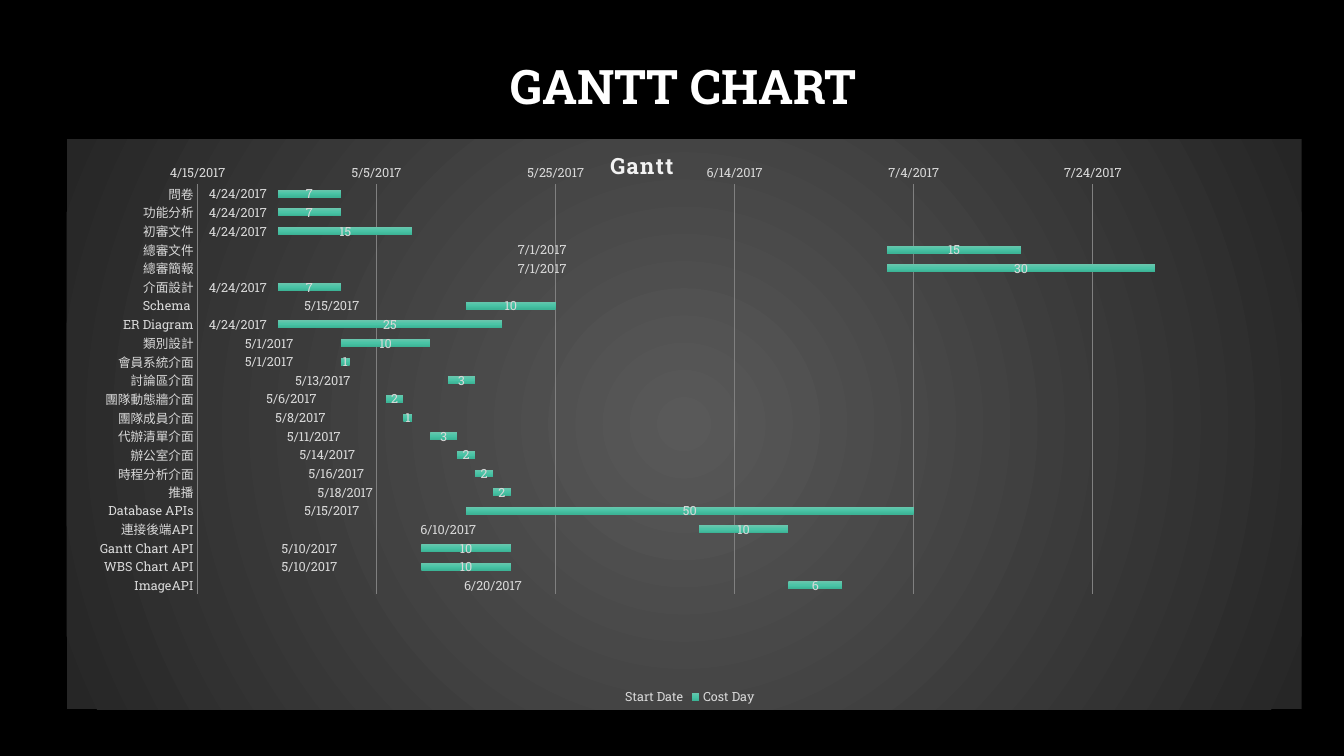
from dataclasses import dataclass

from lxml import etree
from pptx import Presentation
from pptx.chart import data as chart_data
from pptx.dml.color import RGBColor
from pptx.enum import chart as charts, text
from pptx.oxml import ns, parse_xml
from pptx.util import Cm, Pt


@dataclass(frozen=True)
class Theme:
    """Colours and type sizes of the slide."""
    font: str = "Roboto Slab"
    background: str = "000000"
    heading: str = "FFFFFF"
    chart_title: str = "F2F2F2"
    label: str = "D9D9D9"
    grid: str = "808080"
    panel: tuple = ((0, "595959"), (100, "262626"))
    bar: tuple = ((0, "69C6AD"), (50, "4AC4A6"), (100, "3CB496"))
    heading_size: int = 34
    chart_title_size: int = 16
    chart_size: int = 10
    label_size: int = 9


THEME = Theme()
DATE_FORMAT = "m/d/yyyy"
FIRST_DAY, LAST_DAY, DAYS_PER_TICK = 42840, 42952, 20
TASKS = [
    ("問卷", 42849, 7),
    ("功能分析", 42849, 7),
    ("初審文件", 42849, 15),
    ("總審文件", 42917, 15),
    ("總審簡報", 42917, 30),
    ("介面設計", 42849, 7),
    ("Schema ", 42870, 10),
    ("ER Diagram", 42849, 25),
    ("類別設計", 42856, 10),
    ("會員系統介面", 42856, 1),
    ("討論區介面", 42868, 3),
    ("團隊動態牆介面", 42861, 2),
    ("團隊成員介面", 42863, 1),
    ("代辦清單介面", 42866, 3),
    ("辦公室介面", 42869, 2),
    ("時程分析介面", 42871, 2),
    ("推播", 42873, 2),
    ("Database APIs", 42870, 50),
    ("連接後端API", 42896, 10),
    ("Gantt Chart API", 42865, 10),
    ("WBS Chart API", 42865, 10),
    ("ImageAPI", 42906, 6),
]


def style_font(font, size, color, bold=False):
    """Set the typeface, size, colour and weight of a font."""
    font.name, font.size, font.bold = THEME.font, Pt(size), bold
    font.color.rgb = RGBColor.from_string(color)


def write_text(frame, content, size, color, bold=True, spacing=None, tracking=None):
    """Write one centred paragraph into a text frame."""
    paragraph = frame.paragraphs[0]
    paragraph.alignment = text.PP_ALIGN.CENTER
    paragraph.line_spacing = spacing
    run = paragraph.add_run()
    run.text = content
    style_font(run.font, size, color, bold)
    if tracking:
        run._r.get_or_add_rPr().set("spc", str(tracking))


def gradient_properties(stops, direction):
    """Return borderless chart shape properties with a gradient fill."""
    marks = "".join(
        f'<a:gs pos="{position * 1000}"><a:srgbClr val="{color}"/></a:gs>'
        for position, color in stops)
    return parse_xml(
        f'<c:spPr {ns.nsdecls("c", "a")}><a:gradFill><a:gsLst>{marks}</a:gsLst>'
        f'{direction}</a:gradFill><a:ln><a:noFill/></a:ln></c:spPr>')


def set_layout(parent, target=None, **percentages):
    """Place a chart part by percentages of the chart area."""
    layout = parent.find(ns.qn("c:layout"))
    if layout is None:
        layout = etree.Element(ns.qn("c:layout"))
        parent.insert(0, layout)
    manual = etree.SubElement(layout, ns.qn("c:manualLayout"))
    settings = {"layoutTarget": target} if target else {}
    settings.update(xMode="edge", yMode="edge")
    settings.update((name, f"{value / 100:.4f}") for name, value in percentages.items())
    for name, value in settings.items():
        etree.SubElement(manual, ns.qn(f"c:{name}")).set("val", value)


def add_heading(slide, left, top, width, height):
    """Add the slide heading in the given box."""
    frame = slide.shapes.add_textbox(left, top, width, height).text_frame
    frame.word_wrap = True
    frame.vertical_anchor = text.MSO_ANCHOR.MIDDLE
    write_text(frame, "GANTT CHART", THEME.heading_size, THEME.heading, spacing=0.9)


def style_axes(chart):
    """Format the task axis and the date axis."""
    tasks, dates = chart.category_axis, chart.value_axis
    for axis in (tasks, dates):
        axis.major_tick_mark = axis.minor_tick_mark = charts.XL_TICK_MARK.NONE
        axis.format.line.fill.background()
        style_font(axis.tick_labels.font, THEME.label_size, THEME.label)
    tasks.reverse_order = True
    tasks.has_major_gridlines = False
    dates.minimum_scale, dates.maximum_scale = FIRST_DAY, LAST_DAY
    dates.major_unit = DAYS_PER_TICK
    dates.tick_labels.number_format = DATE_FORMAT
    dates.tick_labels.number_format_is_linked = False
    dates.has_major_gridlines = True
    grid = dates.major_gridlines.format.line
    grid.width = Pt(0.75)
    grid.color.rgb = RGBColor.from_string(THEME.grid)


def style_series(chart):
    """Hide the start bars, colour the duration bars and label both."""
    plot = chart.plots[0]
    plot.gap_width, plot.overlap = 150, 100
    plot.vary_by_categories = False
    start, cost = plot.series
    start.format.fill.background()
    start.format.line.fill.background()
    properties = cost._element.get_or_add_spPr()
    properties.getparent().replace(properties, gradient_properties(
        THEME.bar, '<a:lin ang="5400000" scaled="0"/>'))
    for series, number_format in ((start, DATE_FORMAT), (cost, "General")):
        labels = series.data_labels
        labels.show_value = True
        labels.number_format = number_format
        labels.number_format_is_linked = False
        labels.position = charts.XL_LABEL_POSITION.CENTER
        style_font(labels.font, THEME.label_size, THEME.label)


def add_gantt(slide, left, top, width, height):
    """Add the Gantt chart in the given box."""
    names, starts, costs = zip(*TASKS)
    data = chart_data.CategoryChartData()
    data.categories = names
    data.add_series("Start Date", starts, DATE_FORMAT)
    data.add_series("Cost Day", costs, "General")
    chart = slide.shapes.add_chart(
        charts.XL_CHART_TYPE.BAR_STACKED, left, top, width, height, data).chart
    style_font(chart.font, THEME.chart_size, THEME.heading)
    chart.has_title = True
    title = chart.chart_title
    title.include_in_layout = False
    write_text(title.text_frame, "Gantt", THEME.chart_title_size,
               THEME.chart_title, tracking=100)
    set_layout(title._element, x=43.7, y=1)
    chart.has_legend = True
    chart.legend.position = charts.XL_LEGEND_POSITION.BOTTOM
    chart.legend.include_in_layout = False
    style_font(chart.legend.font, THEME.label_size, THEME.label)
    style_axes(chart)
    style_series(chart)
    body = chart._chartSpace.find(ns.qn("c:chart"))
    set_layout(body.find(ns.qn("c:plotArea")), target="inner",
               x=10.6, y=7.9, w=81.2, h=72)
    body.addnext(gradient_properties(
        THEME.panel, '<a:path path="circle"><a:fillToRect l="50000" t="50000" '
        'r="50000" b="50000"/></a:path>'))


def main():
    """Build and save the presentation."""
    presentation = Presentation()
    presentation.slide_width, presentation.slide_height = Cm(33.87), Cm(19.05)
    slide = presentation.slides.add_slide(presentation.slide_layouts[6])
    background = slide.background.fill
    background.solid()
    background.fore_color.rgb = RGBColor.from_string(THEME.background)
    add_heading(slide, Cm(5.37), Cm(1), Cm(23.72), Cm(2.51))
    add_gantt(slide, Cm(1.68), Cm(3.51), Cm(31.12), Cm(14.36))
    presentation.save("out.pptx")


if __name__ == "__main__":
    main()
